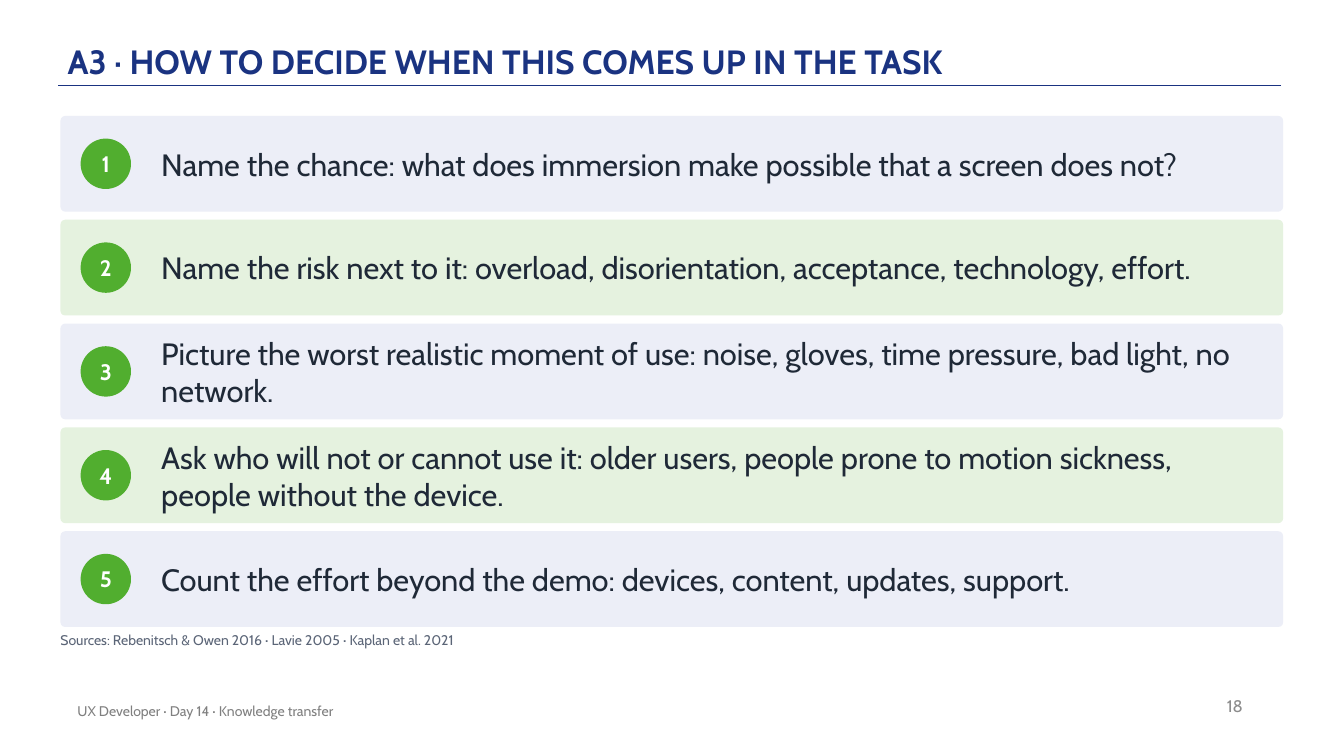
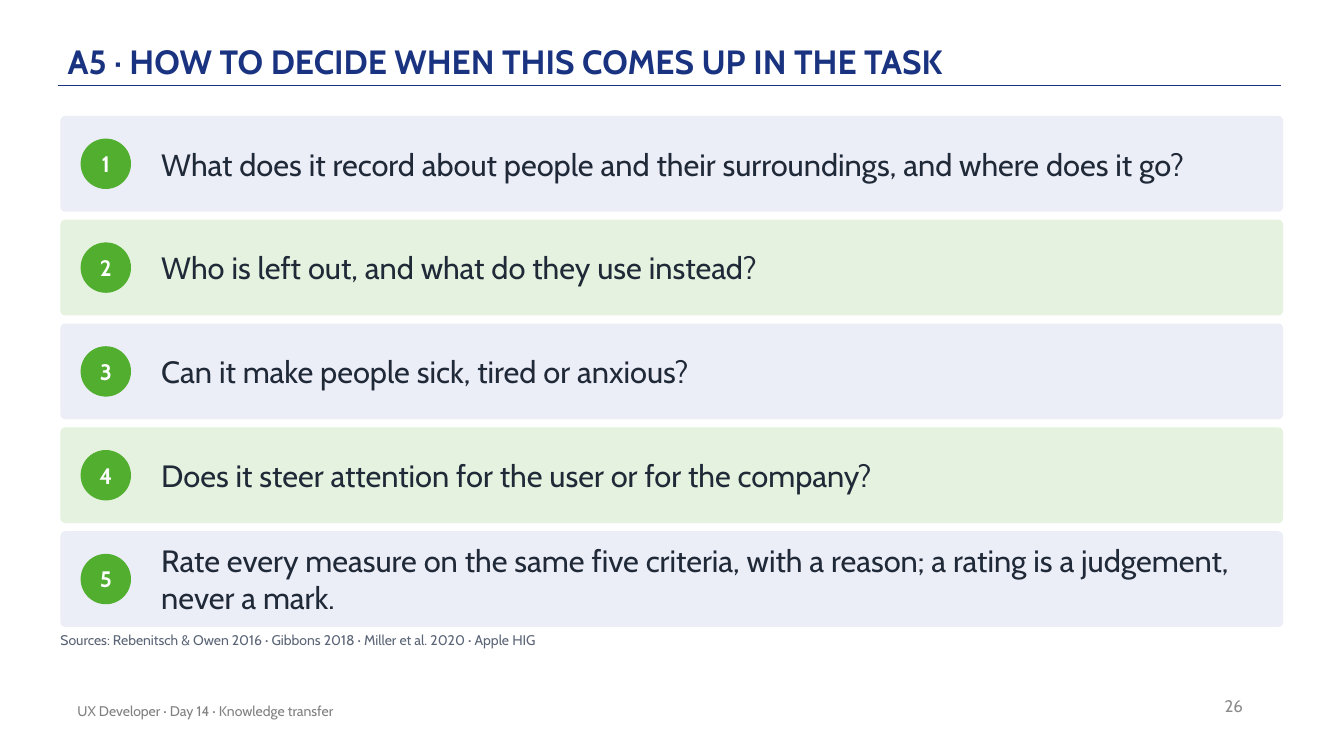
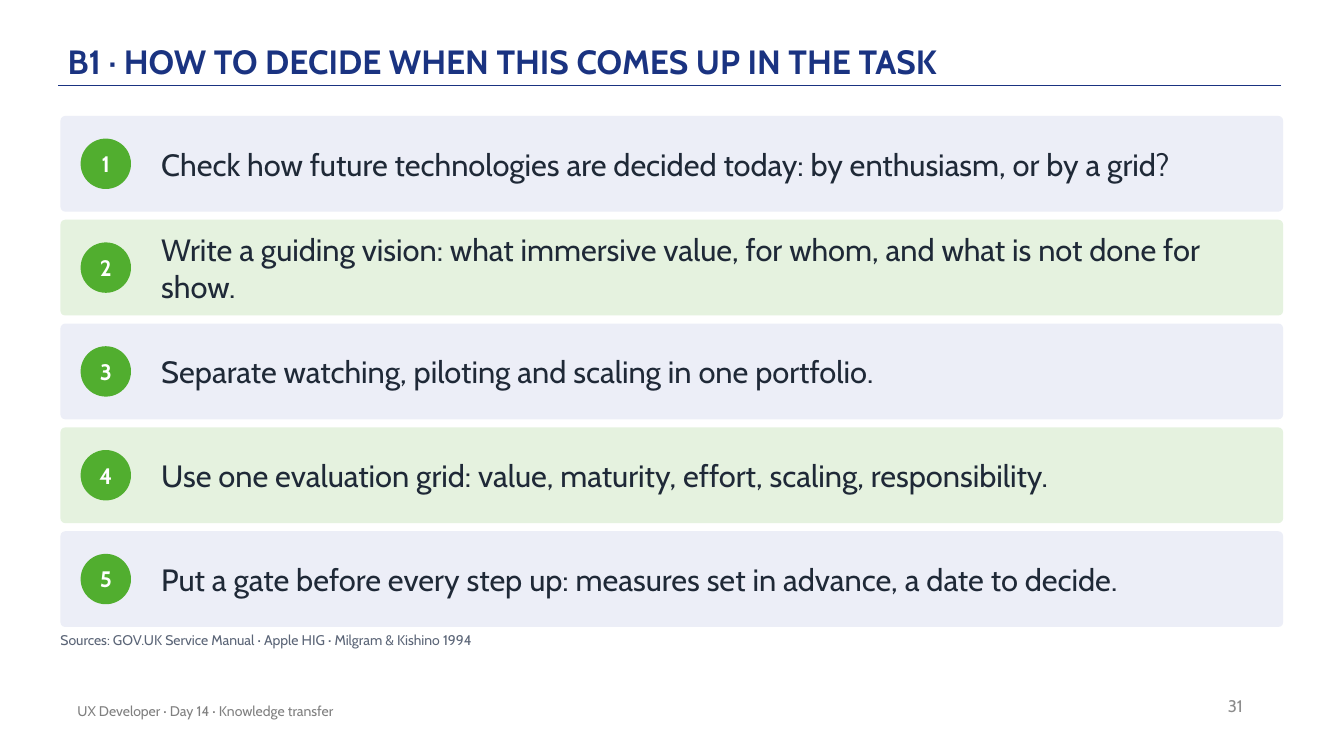
from lxml import etree
from pptx import Presentation
from pptx.dml.color import RGBColor
from pptx.enum import shapes, text
from pptx.oxml import ns
from pptx.util import Pt

# Shared look
FONT = "Cabin"
NAVY, GREEN, WHITE = "1A3381", "51AE2F", "FFFFFF"
INK, SLATE, GREY, PALE_GREY = "1F2937", "5B6577", "808080", "8C8C8C"
CARD_TINTS = ("ECEEF7", "E5F2DF")
FOOTER = "UX Developer · Day 14 · Knowledge transfer"
LEFT, CENTER, RIGHT = (
    text.PP_ALIGN.LEFT, text.PP_ALIGN.CENTER, text.PP_ALIGN.RIGHT)
TOP, MIDDLE, BOTTOM = (
    text.MSO_ANCHOR.TOP, text.MSO_ANCHOR.MIDDLE, text.MSO_ANCHOR.BOTTOM)

# Card grid, in points
CARD_LEFT, CARD_TOP, CARD_WIDTH, CARD_HEIGHT = 43.2, 82.8, 873.36, 68.4
CARD_PITCH = 74.16
BADGE_LEFT, BADGE_SIZE = 57.6, 36
STEP_LEFT, STEP_WIDTH = 115.2, 786.96

# Content: title, page number, steps, sources
PAGES = [
    ("A3 · HOW TO DECIDE WHEN THIS COMES UP IN THE TASK", 18, [
        "Name the chance: what does immersion make possible that a screen does not?",
        "Name the risk next to it: overload, disorientation, acceptance, technology, effort.",
        "Picture the worst realistic moment of use: noise, gloves, time pressure, "
        "bad light, no network.",
        "Ask who will not or cannot use it: older users, people prone to motion sickness, "
        "people without the device.",
        "Count the effort beyond the demo: devices, content, updates, support.",
    ], "Sources: Rebenitsch & Owen 2016 · Lavie 2005 · Kaplan et al. 2021"),
    ("A5 · HOW TO DECIDE WHEN THIS COMES UP IN THE TASK", 26, [
        "What does it record about people and their surroundings, and where does it go?",
        "Who is left out, and what do they use instead?",
        "Can it make people sick, tired or anxious?",
        "Does it steer attention for the user or for the company?",
        "Rate every measure on the same five criteria, with a reason; "
        "a rating is a judgement, never a mark.",
    ], "Sources: Rebenitsch & Owen 2016 · Gibbons 2018 · Miller et al. 2020 · Apple HIG"),
    ("B1 · HOW TO DECIDE WHEN THIS COMES UP IN THE TASK", 31, [
        "Check how future technologies are decided today: by enthusiasm, or by a grid?",
        "Write a guiding vision: what immersive value, for whom, "
        "and what is not done for show.",
        "Separate watching, piloting and scaling in one portfolio.",
        "Use one evaluation grid: value, maturity, effort, scaling, responsibility.",
        "Put a gate before every step up: measures set in advance, a date to decide.",
    ], "Sources: GOV.UK Service Manual · Apple HIG · Milgram & Kishino 1994"),
]


def colour(value):
    return RGBColor.from_string(value)


def set_all(target, values):
    for name, value in values.items():
        setattr(target, name, value)


def write(box, words, size, ink, bold=False, align=LEFT, anchor=MIDDLE,
          inset=(0, 0), **spacing):
    """Put one formatted paragraph in a shape; inset is (side, top and bottom)."""
    frame = box.text_frame
    side, end = map(Pt, inset)
    set_all(frame, {"word_wrap": True, "auto_size": text.MSO_AUTO_SIZE.NONE,
                    "vertical_anchor": anchor, "margin_left": side,
                    "margin_right": side, "margin_top": end, "margin_bottom": end})
    para = frame.paragraphs[0]
    set_all(para, {"alignment": align, **spacing})
    span = para.add_run()
    span.text = words
    set_all(span.font, {"name": FONT, "size": Pt(size), "bold": bold})
    span.font.color.rgb = colour(ink)


def add_label(page, place, *args, **style):
    write(page.shapes.add_textbox(*map(Pt, place)), *args, **style)


def add_filled(page, kind, place, fill):
    shape = page.shapes.add_shape(kind, *map(Pt, place))
    shape.shadow.inherit = False
    shape.fill.solid()
    shape.fill.fore_color.rgb = colour(fill)
    shape.line.fill.background()
    return shape


def add_title(page, words):
    title = page.shapes.title
    set_all(title, {"left": Pt(48.24), "top": Pt(8.64),
                    "width": Pt(792), "height": Pt(51.84)})
    write(title, words, 24, NAVY, bold=True, anchor=BOTTOM, inset=(0, 2.16),
          line_spacing=0.9)


def add_rule(page):
    ends = map(Pt, (915.12, 61.2, 41.76, 61.2))
    rule = page.shapes.add_connector(shapes.MSO_CONNECTOR.STRAIGHT, *ends)
    rule.line.color.rgb = colour(NAVY)
    rule.line.width = Pt(1)
    etree.SubElement(rule._element.spPr, ns.qn("a:effectLst"))


def add_footer(page, number):
    add_label(page, (678.96, 489.6, 216, 28.8), str(number), 12, PALE_GREY,
              align=RIGHT, inset=(7.2, 3.6))
    add_label(page, (48.24, 493.2, 482.4, 28.8), FOOTER, 10, GREY, inset=(7.2, 3.6))


def add_step(page, index, words):
    top = CARD_TOP + index * CARD_PITCH
    card = add_filled(page, shapes.MSO_SHAPE.ROUNDED_RECTANGLE,
                      (CARD_LEFT, top, CARD_WIDTH, CARD_HEIGHT),
                      CARD_TINTS[index % len(CARD_TINTS)])
    card.adjustments[0] = 0.05
    badge_top = top + (CARD_HEIGHT - BADGE_SIZE) / 2
    badge = add_filled(page, shapes.MSO_SHAPE.OVAL,
                       (BADGE_LEFT, badge_top, BADGE_SIZE, BADGE_SIZE), GREEN)
    write(badge, str(index + 1), 16, WHITE, bold=True, align=CENTER)
    add_label(page, (STEP_LEFT, top, STEP_WIDTH, CARD_HEIGHT), words, 22, INK)


def main():
    deck = Presentation()
    set_all(deck, {"slide_width": Pt(960), "slide_height": Pt(540)})
    title_only = deck.slide_layouts[5]
    for title, number, steps, sources in PAGES:
        page = deck.slides.add_slide(title_only)
        add_rule(page)
        add_title(page, title)
        add_footer(page, number)
        for index, words in enumerate(steps):
            add_step(page, index, words)
        add_label(page, (CARD_LEFT, 451.44, 871.2, 21.6), sources, 10, SLATE,
                  anchor=TOP, space_after=Pt(6))
    deck.save("out.pptx")


if __name__ == "__main__":
    main()
